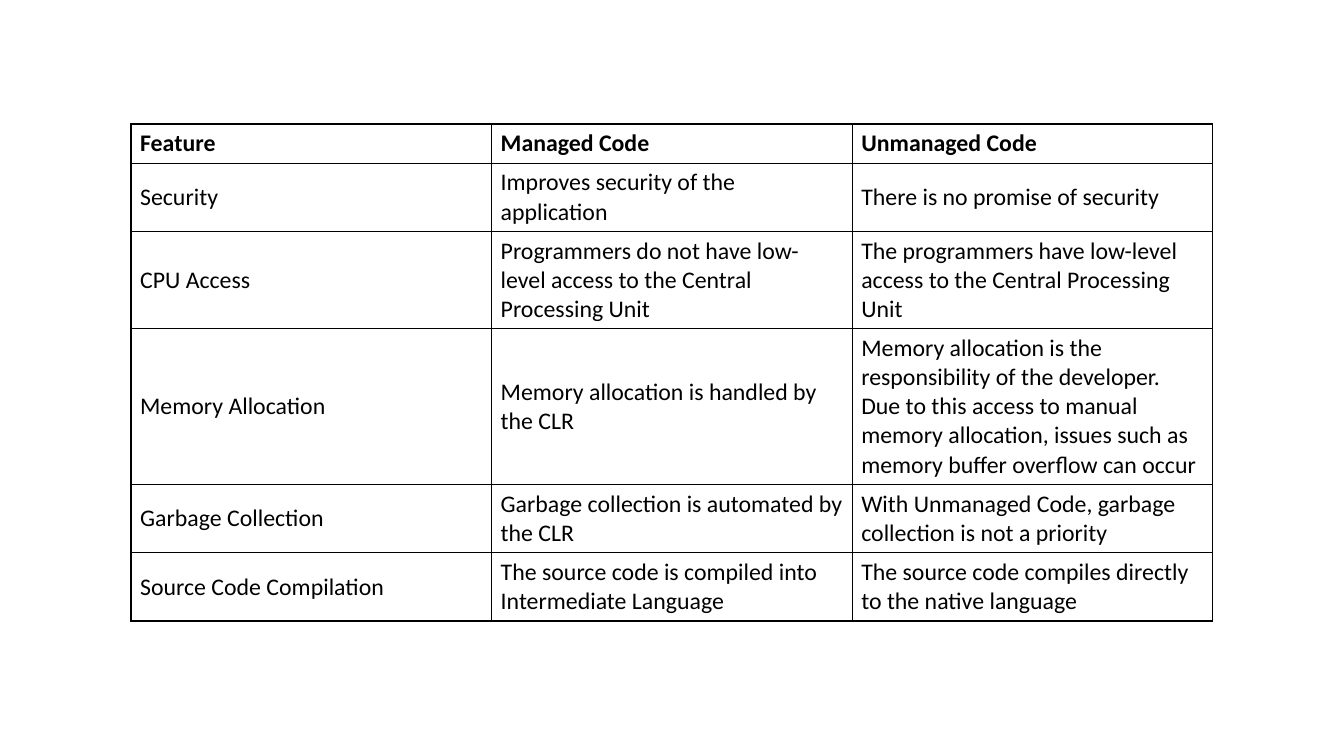
from lxml.etree import SubElement
from pptx import Presentation
from pptx.dml.color import RGBColor
from pptx.enum.text import MSO_ANCHOR as Anchor
from pptx.oxml.ns import qn
from pptx.util import Inches, Pt

BLACK = RGBColor(0, 0, 0)
BORDER_WIDTH = Pt(1)

CELL_FORMAT = {
    "margin_left": Inches(0.09),
    "margin_right": Inches(0.09),
    "margin_top": Inches(0.05),
    "margin_bottom": Inches(0.05),
}
FONT_FORMAT = {"name": "Calibri", "size": Pt(17)}

TABLE_BOX = (1.3, 1.23, 10.73)
ROW_HEIGHTS = [0.37, 0.65, 0.93, 1.49, 0.65, 0.65]
COMPARISON = [
    ("Feature", "Managed Code", "Unmanaged Code"),
    ("Security",
     "Improves security of the application",
     "There is no promise of security"),
    ("CPU Access",
     "Programmers do not have low-level access to the Central Processing Unit",
     "The programmers have low-level access to the Central Processing Unit"),
    ("Memory Allocation",
     "Memory allocation is handled by the CLR",
     "Memory allocation is the responsibility of the developer. Due to this "
     "access to manual memory allocation, issues such as memory buffer "
     "overflow can occur"),
    ("Garbage Collection",
     "Garbage collection is automated by the CLR",
     "With Unmanaged Code, garbage collection is not a priority"),
    ("Source Code Compilation",
     "The source code is compiled into Intermediate Language",
     "The source code compiles directly to the native language"),
]


def set_format(target, values):
    for name, value in values.items():
        setattr(target, name, value)


def add_borders(cell):
    properties = cell._tc.get_or_add_tcPr()
    for side in ("lnL", "lnR", "lnT", "lnB"):
        line = SubElement(properties, qn(f"a:{side}"), w=str(BORDER_WIDTH))
        fill = SubElement(line, qn("a:solidFill"))
        SubElement(fill, qn("a:srgbClr"), val=str(BLACK))


def fill_cell(cell, text, is_header):
    add_borders(cell)
    cell.fill.background()
    set_format(cell, CELL_FORMAT)
    cell.vertical_anchor = Anchor.BOTTOM if is_header else Anchor.MIDDLE
    span = cell.text_frame.paragraphs[0].add_run()
    span.text = text
    set_format(span.font, FONT_FORMAT)
    span.font.bold = is_header
    span.font.color.rgb = BLACK


def add_comparison_table(page, left, top, width):
    """Place the table in equal columns, with a bold first row."""
    column_count = len(COMPARISON[0])
    table = page.shapes.add_table(
        len(COMPARISON), column_count, Inches(left), Inches(top),
        Inches(width), Inches(sum(ROW_HEIGHTS))).table
    set_format(table, {"first_row": False, "horz_banding": False})
    for column in table.columns:
        column.width = Inches(width / column_count)
    for row_index, (row, height) in enumerate(zip(table.rows, ROW_HEIGHTS)):
        row.height = Inches(height)
        for cell, text in zip(row.cells, COMPARISON[row_index]):
            fill_cell(cell, text, is_header=row_index == 0)


def main():
    deck = Presentation()
    set_format(deck, {"slide_width": Inches(13.33),
                      "slide_height": Inches(7.5)})
    page = deck.slides.add_slide(deck.slide_layouts[6])
    add_comparison_table(page, *TABLE_BOX)
    deck.save("out.pptx")


if __name__ == "__main__":
    main()
